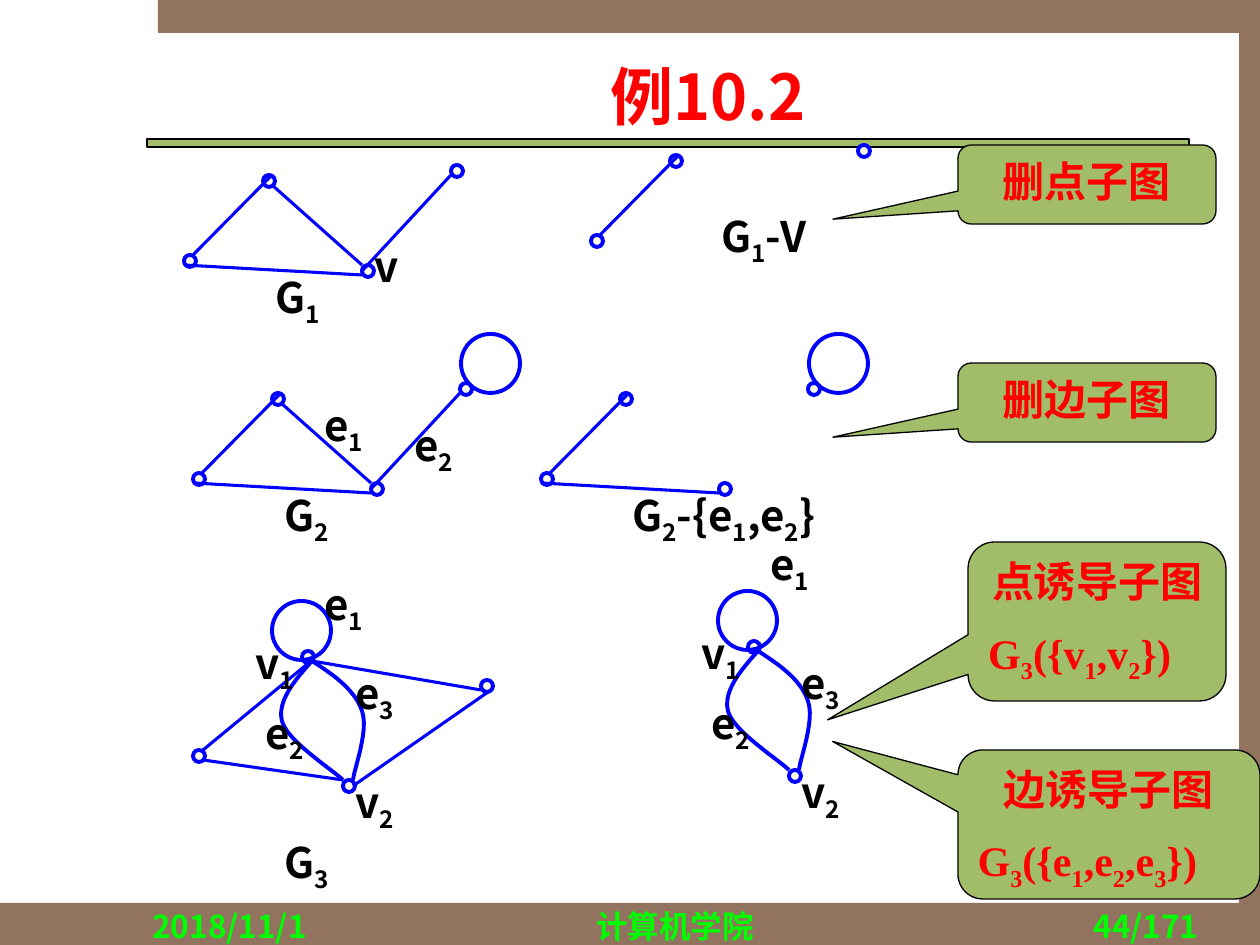
from lxml.etree import SubElement
from pptx import Presentation
from pptx.dml.color import RGBColor
from pptx.enum.shapes import MSO_CONNECTOR, MSO_SHAPE
from pptx.enum.text import MSO_ANCHOR, PP_ALIGN
from pptx.oxml.ns import qn
from pptx.util import Pt

SCALE = 914400 / 126
SANS, SERIF = "Noto Sans CJK SC", "Times New Roman"
BROWN, GREEN, BLUE, BLACK = "91735F", "A1BD69", "0000FF", "000000"
RED, LIME, CREAM = "FF0000", "00FF00", "FEFDE3"
NODE, LOOP, LABEL_WIDTH, LABEL_HEIGHT = 12, 59, 69, 63
CURVE_STEPS = 12

BARS = [(0, 903, 1260, 42), (158, 0, 1102, 33), (1239, 32, 21, 871)]
TITLE_RULE = (147, 139, 1042, 8)
TITLE = ("例10.2", (203, 45, 1010, 100))
FOOTERS = [
    ("2018/11/1", (140, 901, 262, 23), PP_ALIGN.LEFT),
    ("计算机学院", (402, 901, 546, 23), PP_ALIGN.CENTER),
    ("44/171", (949, 901, 262, 23), PP_ALIGN.RIGHT),
]

PATH_GRAPH = {
    "nodes": {"apex": (263, 175), "low": (362, 265), "left": (184, 255), "far": (451, 165)},
    "edges": {
        "apex-low": (272, 185, 362, 265),
        "left-apex": (193, 255, 272, 175),
        "low-left": (362, 275, 184, 265),
        "low-far": (362, 271, 451, 175),
    },
    "loops": {"far loop": (452, 116)},
    "curves": {},
    "labels": {},
}
CURVED_GRAPH = {
    "nodes": {"v1": (302, 651), "left": (193, 750), "right": (481, 680), "v2": (343, 780)},
    "edges": {
        "left-v1": (203, 750, 311, 661),
        "v1-right": (312, 661, 481, 690),
        "v2-right": (353, 786, 491, 690),
        "left-v2": (203, 760, 343, 780),
    },
    "loops": {"e1": (272, 601)},
    "curves": {
        "e3": [(312, 661), (334, 675), (355, 690), (362, 711), (369, 731), (354, 769), (353, 780)],
        "e2": [(312, 661), (295, 680), (277, 701), (282, 721), (287, 741), (333, 770), (343, 780)],
    },
    "labels": {"e_3": (343, 661), "e_2": (253, 701), "v_2": (343, 770), "v_1": (243, 631)},
}
GRAPHS = [
    (PATH_GRAPH, (0, 0), {"far loop"}),
    (PATH_GRAPH, (407, -20), {"low", "apex-low", "low-left", "low-far", "far loop"}),
    (PATH_GRAPH, (9, 218), set()),
    (PATH_GRAPH, (357, 218), {"apex-low", "low-far"}),
    (CURVED_GRAPH, (0, 0), set()),
    (CURVED_GRAPH, (446, -10), {"left", "right", "left-v1", "v1-right", "v2-right", "left-v2"}),
]
LABELS = [
    ("G_1", 263, 265, LABEL_WIDTH), ("v", 362, 234, LABEL_WIDTH), ("G_1-V", 709, 204, 129),
    ("G_2", 272, 483, LABEL_WIDTH), ("e_1", 312, 393, LABEL_WIDTH), ("e_2", 402, 413, LABEL_WIDTH),
    ("G_2-{e_1,e_2}", 620, 483, 248), ("e_1", 312, 572, LABEL_WIDTH),
    ("e_1", 758, 532, LABEL_WIDTH), ("G_3", 272, 830, LABEL_WIDTH),
]
CALLOUTS = [
    (["删点子图"], (958, 145, 258, 79), (-0.985, 0.439, 0.167)),
    (["删边子图"], (958, 363, 258, 79), (-0.985, 0.439, 0.167)),
    (["点诱导子图", "G_3({v_1,v_2})"], (968, 542, 258, 159), (-1.045, 0.619, 0.167)),
    (["边诱导子图", "G_3({e_1,e_2,e_3})"], (958, 750, 302, 149), (-0.915, -0.557, 0.167)),
]


def px(*lengths):
    return [round(length * SCALE) for length in lengths]


def color(value):
    return RGBColor.from_string(value)


def style(shape, fill=None, line=None, width=0.75):
    shape.shadow.inherit = False
    for part, value in ((shape.fill, fill), (shape.line.fill, line)):
        if value:
            part.solid()
            part.fore_color.rgb = color(value)
        else:
            part.background()
    if line:
        shape.line.width = Pt(width)
    return shape


def add_shape(kind, area, **look):
    return style(page.shapes.add_shape(kind, *px(*area)), **look)


def write(para, text, name, size, ink):
    for index, piece in enumerate(text.split("_")):
        parts = [(piece[:1], -25000), (piece[1:], None)] if index else [(piece, None)]
        for words, baseline in parts:
            if not words:
                continue
            span = para.add_run()
            span.text = words
            for key, value in {"name": name, "size": Pt(size), "bold": True}.items():
                setattr(span.font, key, value)
            span.font.color.rgb = color(ink)
            properties = span.font._element
            SubElement(properties, qn("a:ea")).set("typeface", SANS)
            if baseline:
                properties.set("baseline", str(baseline))


def add_text(text, area, size, ink, align=PP_ALIGN.LEFT, **layout):
    frame = page.shapes.add_textbox(*px(*area)).text_frame
    for key, value in {"word_wrap": True, **layout}.items():
        setattr(frame, key, value)
    para = frame.paragraphs[0]
    para.alignment = align
    write(para, text, SANS, size, ink)


def add_label(text, x, y, width=LABEL_WIDTH):
    add_text(text, (x, y, width, LABEL_HEIGHT), 24, BLACK, margin_right=0)


def add_edge(ends):
    edge = page.shapes.add_connector(MSO_CONNECTOR.STRAIGHT, *px(*ends))
    edge.line.color.rgb = color(BLUE)
    edge.line.width = Pt(1.75)
    SubElement(edge._element.spPr, qn("a:effectLst"))


def bezier(controls):
    for step in range(1, CURVE_STEPS + 1):
        t = step / CURVE_STEPS
        weights = ((1 - t) ** 3, 3 * t * (1 - t) ** 2, 3 * t * t * (1 - t), t ** 3)
        yield px(*(sum(w * point[axis] for w, point in zip(weights, controls)) for axis in (0, 1)))


def add_curve(points):
    builder = page.shapes.build_freeform(*px(*points[0]))
    for start in range(0, len(points) - 1, 3):
        builder.add_line_segments(bezier(points[start:start + 4]), close=False)
    style(builder.convert_to_shape(), line=BLUE, width=2.25)


def add_graph(graph, shift, removed):
    dx, dy = shift

    def kept(group):
        return [item for name, item in graph[group].items() if name not in removed]

    for x, y in kept("nodes"):
        add_shape(MSO_SHAPE.OVAL, (x + dx, y + dy, NODE, NODE), fill=CREAM, line=BLUE, width=2.25)
    for x1, y1, x2, y2 in kept("edges"):
        add_edge((x1 + dx, y1 + dy, x2 + dx, y2 + dy))
    for x, y in kept("loops"):
        add_shape(MSO_SHAPE.OVAL, (x + dx, y + dy, LOOP, LOOP), line=BLUE, width=2.25)
    for points in kept("curves"):
        add_curve([(x + dx, y + dy) for x, y in points])
    for text, (x, y) in graph["labels"].items():
        add_label(text, x + dx, y + dy)


def add_callout(lines, area, adjustments):
    callout = add_shape(MSO_SHAPE.ROUNDED_RECTANGULAR_CALLOUT, area, fill=GREEN, line=BLACK)
    for index, value in enumerate(adjustments):
        callout.adjustments[index] = value
    frame = callout.text_frame
    frame.vertical_anchor = MSO_ANCHOR.TOP
    for index, text in enumerate(lines):
        para = frame.add_paragraph() if index else frame.paragraphs[0]
        para.alignment = PP_ALIGN.LEFT if index else PP_ALIGN.CENTER
        para.space_before = Pt(12 if index else 0)
        write(para, text, SERIF, 24, RED)


deck = Presentation()
deck.slide_width, deck.slide_height = px(1260, 945)
page = deck.slides.add_slide(deck.slide_layouts[6])
for bar in BARS:
    add_shape(MSO_SHAPE.RECTANGLE, bar, fill=BROWN)
add_shape(MSO_SHAPE.RECTANGLE, TITLE_RULE, fill=GREEN, line=BLACK)
for text, area, align in FOOTERS:
    add_text(text, area, 18, LIME, align)
for graph, shift, removed in GRAPHS:
    add_graph(graph, shift, removed)
for label in LABELS:
    add_label(*label)
for callout in CALLOUTS:
    add_callout(*callout)
add_text(*TITLE, 36, RED, PP_ALIGN.CENTER, vertical_anchor=MSO_ANCHOR.MIDDLE)
deck.save("out.pptx")
